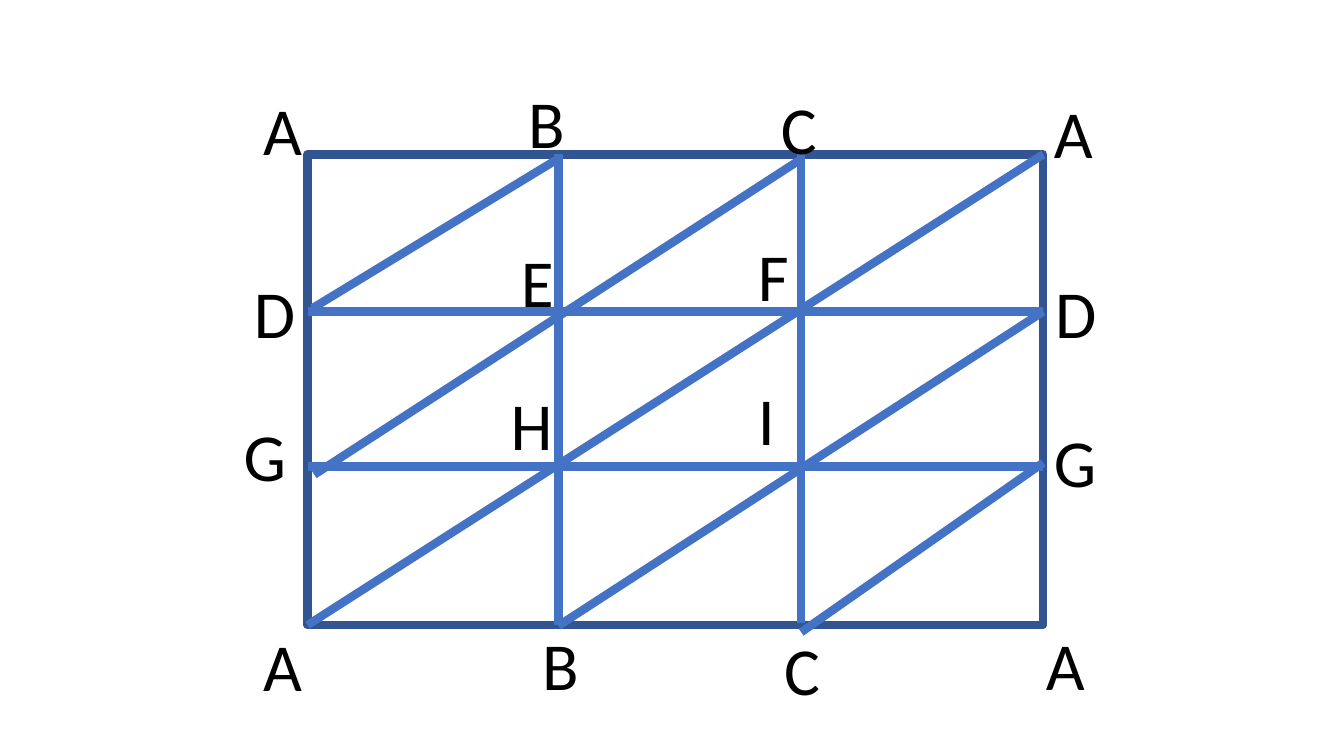
import dataclasses

import pptx
import pptx.dml.color
import pptx.enum.shapes
import pptx.enum.text
import pptx.oxml.ns
import pptx.util
from lxml import etree

Cm = pptx.util.Cm


@dataclasses.dataclass(frozen=True)
class Theme:
    """Colours and type of the diagram."""
    paper: str = "FFFFFF"
    frame: str = "325491"
    edge: str = "4472C4"
    ink: str = "000000"
    font: str = "Calibri"
    letter_size: int = 48
    stroke: int = 6


THEME = Theme()

# All lengths are in centimetres.
LEFT, RIGHT, TOP, BOTTOM = 7.75, 26.29, 3.89, 15.75
COLUMN_B, COLUMN_C = 14.07, 20.19
ROW_D, ROW_G = 7.85, 11.76

GRID_EDGES = [
    (COLUMN_B, TOP, COLUMN_B, BOTTOM),
    (COLUMN_C, 3.84, COLUMN_C, 15.7),
    (RIGHT, ROW_D, LEFT, ROW_D),
    (RIGHT, ROW_G, LEFT, ROW_G),
]
DIAGONALS = [
    (RIGHT, TOP, LEFT, BOTTOM),
    (RIGHT, ROW_D, COLUMN_B, 15.77),
    (20.14, 4.04, 7.92, 11.96),
    (RIGHT, 11.66, COLUMN_C, 15.93),
    (14, 4.04, 7.87, 7.77),
]

LETTER_HEIGHT = 2.31
LETTER_WIDTHS = {"A": 1.5, "B": 1.45, "C": 1.42, "D": 1.57, "E": 1.35,
                 "F": 1.3, "G": 1.6, "H": 1.57, "I": 0.94}
VERTICES = [
    ("A", 6.38, 2.11), ("B", 13.06, 1.93), ("C", 19.43, 2.08), ("A", 26.31, 2.18),
    ("D", 6.15, 6.71), ("E", 12.88, 5.92), ("F", 18.85, 5.79), ("D", 26.34, 6.71),
    ("G", 5.89, 10.31), ("H", 12.62, 9.53), ("I", 18.85, 9.4), ("G", 26.31, 10.46),
    ("A", 6.38, 15.6), ("B", 13.41, 15.57), ("C", 19.51, 15.7), ("A", 26.11, 15.57),
]


def rgb(code):
    """Turn a hex code into a colour."""
    return pptx.dml.color.RGBColor.from_string(code)


def style_line(line, colour):
    """Give a line the diagram's stroke in one colour."""
    line.color.rgb = rgb(colour)
    line.width = pptx.util.Pt(THEME.stroke)


def add_frame(slide):
    """Draw the outer rectangle."""
    frame = slide.shapes.add_shape(
        pptx.enum.shapes.MSO_SHAPE.RECTANGLE,
        Cm(LEFT), Cm(TOP), Cm(RIGHT - LEFT), Cm(BOTTOM - TOP))
    frame.shadow.inherit = False
    frame.fill.solid()
    frame.fill.fore_color.rgb = rgb(THEME.paper)
    style_line(frame.line, THEME.frame)


def add_edge(slide, ends):
    """Draw one straight edge between two points."""
    edge = slide.shapes.add_connector(
        pptx.enum.shapes.MSO_CONNECTOR.STRAIGHT, *map(Cm, ends))
    style_line(edge.line, THEME.edge)
    etree.SubElement(edge._element.spPr, pptx.oxml.ns.qn("a:effectLst"))


def add_vertex(slide, letter, left, top):
    """Write the letter of one vertex."""
    label = slide.shapes.add_textbox(
        Cm(left), Cm(top), Cm(LETTER_WIDTHS[letter]), Cm(LETTER_HEIGHT))
    frame = label.text_frame
    frame.word_wrap = False
    frame.auto_size = pptx.enum.text.MSO_AUTO_SIZE.SHAPE_TO_FIT_TEXT
    run = frame.paragraphs[0].add_run()
    run.text = letter
    run.font.name = THEME.font
    run.font.size = pptx.util.Pt(THEME.letter_size)
    run.font.color.rgb = rgb(THEME.ink)


def main():
    """Build the triangulated grid and save it."""
    deck = pptx.Presentation()
    deck.slide_width, deck.slide_height = Cm(33.87), Cm(19.05)
    slide = deck.slides.add_slide(deck.slide_layouts.get_by_name("Blank"))
    add_frame(slide)
    for ends in GRID_EDGES + DIAGONALS:
        add_edge(slide, ends)
    for letter, left, top in VERTICES:
        add_vertex(slide, letter, left, top)
    deck.save("out.pptx")


main()
